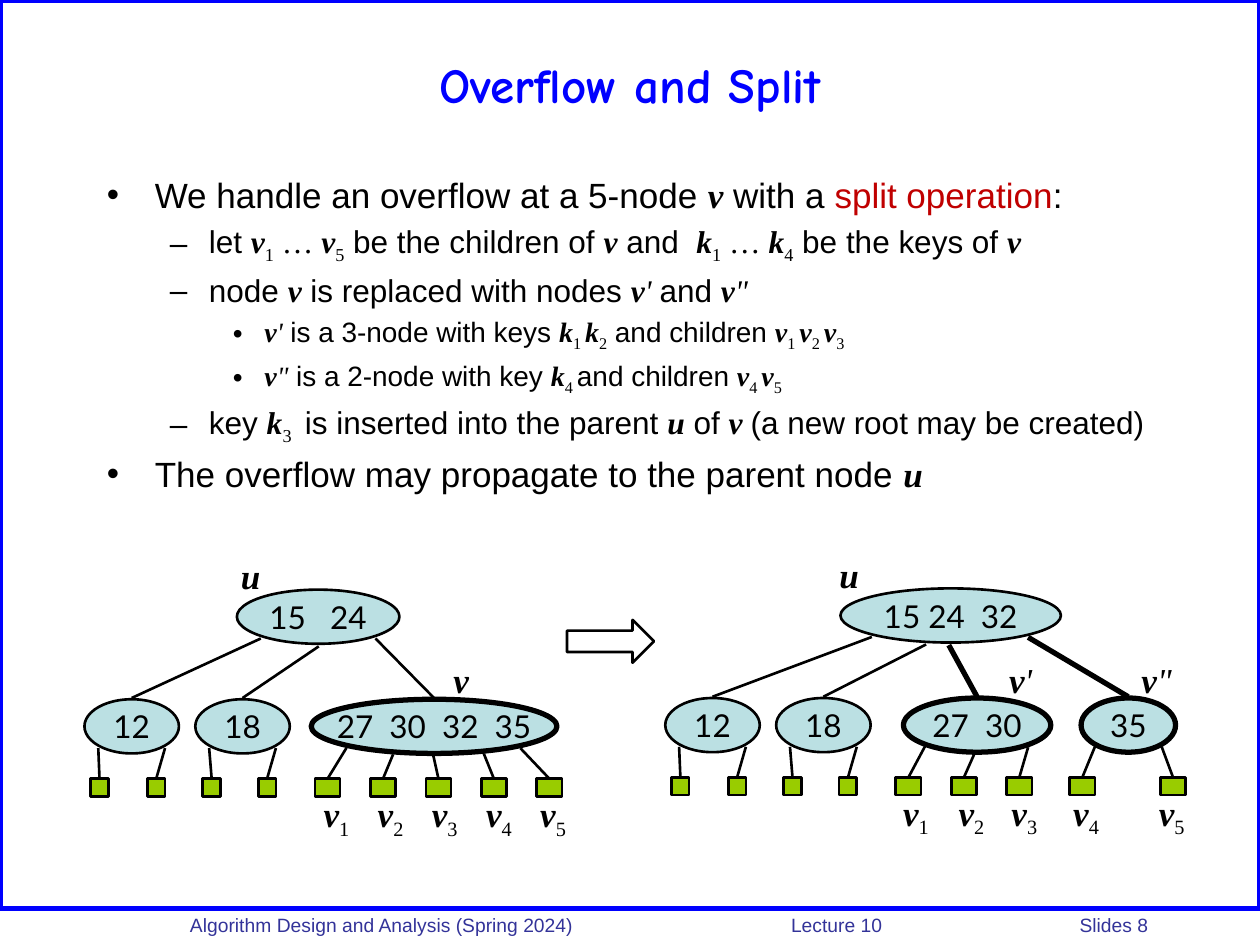
import dataclasses
import math

import lxml.etree
import pptx
import pptx.dml.color
import pptx.enum.shapes
import pptx.enum.text
import pptx.oxml.ns
import pptx.util
from pptx.util import Inches, Pt

SHAPE = pptx.enum.shapes.MSO_SHAPE
ALIGN = pptx.enum.text.PP_ALIGN
ANCHOR = pptx.enum.text.MSO_ANCHOR

BLUE, BLACK, RED, NAVY = "0000FF", "000000", "C00000", "333399"
NODE_FILL, LEAF_FILL = "BBE0E3", "99CC00"

SERIF = "Times New Roman"
# style: font, bold, italic, colour, baseline
STYLES = {
    "text": ("Arial", False, False, BLACK, 0),
    "red": ("Arial", False, False, RED, 0),
    "footer": ("Arial", False, False, NAVY, 0),
    "title": ("Comic Neue", True, False, BLUE, 0),
    "key": ("Lato", False, False, BLACK, 0),
    "var": (SERIF, True, True, BLACK, 0),
    "prime": (SERIF, False, True, BLACK, 0),
    "serif": (SERIF, False, False, BLACK, 0),
    "sub": (SERIF, False, False, BLACK, -25),
}

# level: size, text indent, hanging indent, bullet
LEVELS = [(20, 0.38, 0.38, "•"), (18, 0.81, 0.31, "–"), (16, 1.25, 0.25, "•")]

BODY = [
    (0, [("text", "We handle an overflow at a 5-node "), ("var", "v"),
         ("text", " with a "), ("red", "split operation"), ("text", ":")]),
    (1, [("text", "let "), ("var", "v"), ("sub", "1"), ("serif", " … "),
         ("var", "v"), ("sub", "5"), ("text", " be the children of "),
         ("var", "v"), ("text", " and  "), ("var", "k"), ("sub", "1"),
         ("serif", " … "), ("var", "k"), ("sub", "4"),
         ("text", " be the keys of "), ("var", "v")]),
    (1, [("text", "node "), ("var", "v"), ("text", " is replaced with nodes "),
         ("var", "v"), ("prime", "' "), ("text", "and "),
         ("var", "v"), ("prime", '"')]),
    (2, [("var", "v"), ("prime", "'"), ("text", " is a 3-node with keys "),
         ("var", "k"), ("sub", "1 "), ("var", "k"), ("sub", "2"),
         ("text", " and children "), ("var", "v"), ("sub", "1 "),
         ("var", "v"), ("sub", "2 "), ("var", "v"), ("sub", "3")]),
    (2, [("var", "v"), ("prime", '"'), ("text", " is a 2-node with key "),
         ("var", "k"), ("sub", "4 "), ("text", "and children "),
         ("var", "v"), ("sub", "4 "), ("var", "v"), ("sub", "5")]),
    (1, [("text", "key "), ("var", "k"), ("sub", "3 "),
         ("text", " is inserted into the parent "), ("var", "u"),
         ("text", " of "), ("var", "v "),
         ("text", "(a new root may be created)")]),
    (0, [("text", "The overflow may propagate to the parent node "), ("var", "u")]),
]


@dataclasses.dataclass
class Node:
    """A tree node; positions are inches from the left of its tree."""
    keys: str
    left: float
    width: float
    root_x: float = 0  # where its edge leaves the root
    leaves: tuple = ()  # (leaf left, where its edge leaves this node)
    leaf_width: float = 0.14
    outline: float = 1.5
    edge: float = 1.5


SMALL_NODES = [
    Node("12", 0, 0.75, 0, ((0.05, 0.11), (0.5, 0.64))),
    Node("18", 0.88, 0.75, 0, ((0.94, 0.99), (1.38, 1.52))),
]


def rgb(color):
    return pptx.dml.color.RGBColor.from_string(color)


def add_runs(p, runs, size):
    for style, text in runs:
        font, bold, italic, color, baseline = STYLES[style]
        r = p.add_run()
        r.text = text
        r.font.name, r.font.size = font, Pt(size)
        r.font.bold, r.font.italic = bold, italic
        r.font.color.rgb = rgb(color)
        if baseline:
            r.font._element.set("baseline", str(baseline * 1000))


def add_text(s, x, y, w, h, runs=(), size=20, align=ALIGN.LEFT, wrap=True):
    tf = s.shapes.add_textbox(Inches(x), Inches(y), Inches(w), Inches(h)).text_frame
    tf.word_wrap = wrap
    tf.paragraphs[0].alignment = align
    add_runs(tf.paragraphs[0], runs, size)
    return tf


def add_label(s, center, y, runs):
    add_text(s, center - 0.28, y, 0.56, 0.43, runs, 20, ALIGN.CENTER, False)


def add_shape(s, kind, x, y, w, h, fill=None, line=BLACK, width=1.5):
    sp = s.shapes.add_shape(kind, Inches(x), Inches(y), Inches(w), Inches(h))
    sp.shadow.inherit = False
    if fill:
        sp.fill.solid()
        sp.fill.fore_color.rgb = rgb(fill)
    else:
        sp.fill.background()
    sp.line.color.rgb = rgb(line)
    sp.line.width = Pt(width)
    return sp


def add_line(s, x1, y1, x2, y2, width=1.5):
    line = s.shapes.add_connector(pptx.enum.shapes.MSO_CONNECTOR.STRAIGHT,
                                  Inches(x1), Inches(y1), Inches(x2), Inches(y2))
    line.line.color.rgb = rgb(BLACK)
    line.line.width = Pt(width)
    lxml.etree.SubElement(line._element.spPr, pptx.oxml.ns.qn("a:effectLst"))
    return line


def add_node(s, node, x, y, h):
    sp = add_shape(s, SHAPE.OVAL, x + node.left, y, node.width, h,
                   NODE_FILL, width=node.outline)
    tf = sp.text_frame
    tf.word_wrap = False
    tf.vertical_anchor = ANCHOR.MIDDLE
    tf.paragraphs[0].alignment = ALIGN.CENTER
    add_runs(tf.paragraphs[0], [("key", node.keys)], 18)


def edge_drop(node, x, h):
    """Depth below the node's top at which its lower rim passes x."""
    radius = node.width / 2
    offset = (x - node.left - radius) / radius
    return h / 2 * (1 + math.sqrt(1 - offset ** 2)) + 0.02


def add_tree(s, x, y, root, children, label_centers, names):
    """Draw a two-level tree with leaves; names are (centre, top, runs)."""
    h, root_y, child_y, leaf_y = 0.43, y + 0.33, y + 1.2, y + 1.83
    add_node(s, root, x, root_y, h)
    for child in children:
        add_node(s, child, x, child_y, h)
        add_line(s, x + child.root_x, root_y + edge_drop(root, child.root_x, h),
                 x + child.left + child.width / 2, child_y - 0.01, child.edge)
        for left, join_x in child.leaves:
            leaf = add_shape(s, SHAPE.RECTANGLE, x + left, leaf_y,
                             child.leaf_width, 0.14, LEAF_FILL)
            line = add_line(s, x + left + child.leaf_width / 2, leaf_y, x + join_x,
                            child_y + edge_drop(child, join_x, h))
            line.begin_connect(leaf, 0)
    for number, center in enumerate(label_centers, 1):
        add_label(s, x + center, y + 1.89, [("var", "v"), ("sub", str(number))])
    for center, top, runs in names:
        add_label(s, x + center, y + top, runs)


def add_trees(s):
    before = [dataclasses.replace(n, root_x=rx) for n, rx in zip(SMALL_NODES, (1.4, 1.86))]
    tops = (2.08, 2.45, 2.77, 3.17, 3.46)
    before.append(Node("27  30  32  35", 1.8, 1.95, 2.31,
                       tuple((1.83 + 0.44 * i, top) for i, top in enumerate(tops)),
                       0.2, 3))
    add_tree(s, 0.67, 4.35, Node("15   24", 1.21, 1.29), before,
             [2 + 0.43 * i for i in range(5)],
             [(1.32, 0, [("var", "u")]), (2.99, 0.83, [("var", "v")])])

    after = [dataclasses.replace(n, root_x=rx) for n, rx in zip(SMALL_NODES, (1.64, 2.07))]
    after += [
        Node("27  30", 1.89, 1.17, 2.25,
             ((1.83, 2.06), (2.27, 2.45), (2.71, 2.88)), 0.2, 3, 3),
        Node("35", 3.3, 0.75, 2.88, ((3.21, 3.41), (3.93, 3.94)), 0.2, 3, 3),
    ]
    add_tree(s, 5.28, 4.34, Node("15 24  32", 1.39, 1.75), after,
             [1.99, 2.43, 2.85, 3.34, 4.02],
             [(1.46, 0, [("var", "u")]),
              (2.82, 0.84, [("var", "v"), ("prime", "'")]),
              (3.9, 0.84, [("var", "v"), ("prime", '"')])])
    add_shape(s, SHAPE.RIGHT_ARROW, 4.5, 4.92, 0.69, 0.34)


def add_frame_and_footer(s):
    add_shape(s, SHAPE.RECTANGLE, 0, 0, 10, 7.21, line=BLUE, width=3)
    p = add_text(s, 1.33, 7.2, 8.67, 0.26).paragraphs[0]
    pPr = p._p.get_or_add_pPr()
    pPr.set("marL", str(Inches(0.08)))
    tabs = lxml.etree.SubElement(pPr, pptx.oxml.ns.qn("a:tabLst"))
    for stop in (4.77, 7.06):
        lxml.etree.SubElement(tabs, pptx.oxml.ns.qn("a:tab"),
                              pos=str(Inches(stop)), algn="l")
    add_runs(p, [("footer", "Algorithm Design and Analysis (Spring 2024)\tLecture 10\tSlides 8")], 11)


def add_body(s, x, y, w, h):
    tf = add_text(s, x, y, w, h)
    for i, (level, runs) in enumerate(BODY):
        size, indent, hanging, bullet = LEVELS[level]
        p = tf.add_paragraph() if i else tf.paragraphs[0]
        p.level = level
        if i:
            p.space_before = Pt(size * 0.2)
        pPr = p._p.get_or_add_pPr()
        pPr.set("marL", str(Inches(indent)))
        pPr.set("indent", str(-Inches(hanging)))
        lxml.etree.SubElement(pPr, pptx.oxml.ns.qn("a:buFont"), typeface="Arial")
        lxml.etree.SubElement(pPr, pptx.oxml.ns.qn("a:buChar"), char=bullet)
        add_runs(p, runs, size)


def main():
    prs = pptx.Presentation()
    prs.slide_width, prs.slide_height = Inches(10), Inches(7.5)
    s = prs.slides.add_slide(prs.slide_layouts[6])
    add_frame_and_footer(s)
    title = add_text(s, 0.5, 0.17, 9, 1, [("title", "Overflow and Split")], 28, ALIGN.CENTER)
    title.vertical_anchor = ANCHOR.MIDDLE
    add_body(s, 0.75, 1.33, 8.75, 2.97)
    add_trees(s)
    prs.save("out.pptx")


if __name__ == "__main__":
    main()
